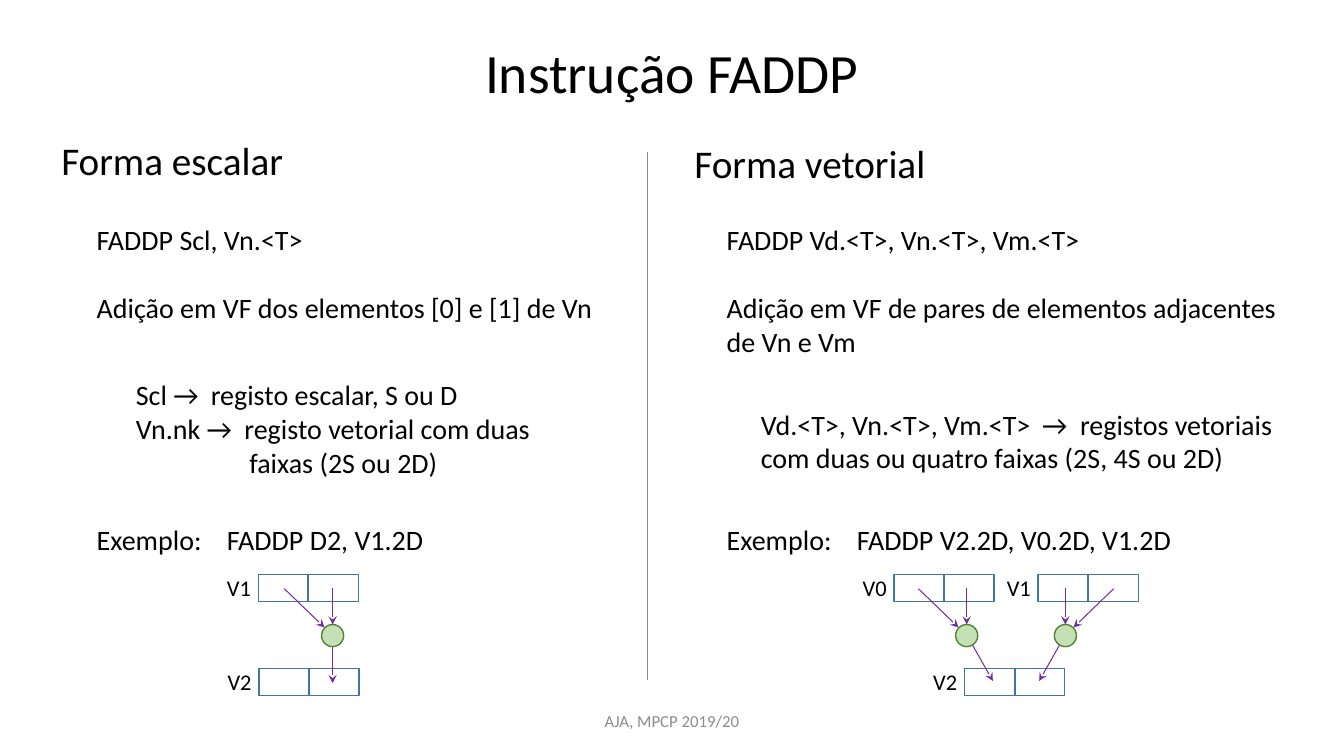
from dataclasses import dataclass

from pptx import Presentation
from pptx.dml.color import RGBColor
from pptx.enum.shapes import MSO_CONNECTOR as CONN, MSO_SHAPE as SHAPE
from pptx.enum.text import MSO_ANCHOR as ANCHOR, PP_ALIGN as ALIGN
from pptx.oxml.ns import qn
from pptx.util import Pt
from lxml.etree import SubElement

BLACK = RGBColor(0x00, 0x00, 0x00)
GRAY = RGBColor(0x8C, 0x8C, 0x8C)
BLUE = RGBColor(0x43, 0x73, 0x9E)
PURPLE = RGBColor(0x70, 0x30, 0xA0)
LIGHT_GREEN = RGBColor(0xC5, 0xE0, 0xB4)
DARK_GREEN = RGBColor(0x54, 0x82, 0x35)

ADDER_Y = 454
SOURCE_Y = 410.4
RESULT_Y = 477.4


@dataclass
class Para:
    text: str
    before: float = 0
    indent: float = 0
    tabs: tuple = ()


class Slide:
    font = "Calibri"

    def __init__(self, prs):
        self.slide = prs.slides.add_slide(prs.slide_layouts[5])
        self.shapes = self.slide.shapes

    def style(self, p, size, color, align=ALIGN.LEFT):
        p.alignment = align
        for r in p.runs:
            r.font.name = self.font
            r.font.size = Pt(size)
            r.font.color.rgb = color

    def title(self, text, x, y, w, h):
        sp = self.shapes.title
        sp.left, sp.top, sp.width, sp.height = Pt(x), Pt(y), Pt(w), Pt(h)
        tf = sp.text_frame
        tf.text = text
        tf.vertical_anchor = ANCHOR.MIDDLE
        tf.paragraphs[0].line_spacing = 0.9
        self.style(tf.paragraphs[0], 39.6, BLACK, ALIGN.CENTER)

    def text(self, x, y, w, h, paras, size=20, color=BLACK,
             align=ALIGN.LEFT, anchor=ANCHOR.TOP):
        tf = self.shapes.add_textbox(Pt(x), Pt(y), Pt(w), Pt(h)).text_frame
        tf.word_wrap = True
        tf.vertical_anchor = anchor
        for i, para in enumerate(paras):
            p = tf.add_paragraph() if i else tf.paragraphs[0]
            p.text = para.text
            self.style(p, size, color, align)
            if para.before:
                p.space_before = Pt(para.before)
            pPr = p._p.get_or_add_pPr()
            if para.indent:
                pPr.set("marL", str(Pt(para.indent)))
            if para.tabs:
                stops = SubElement(pPr, qn("a:tabLst"))
                for stop in para.tabs:
                    SubElement(stops, qn("a:tab"), pos=str(Pt(stop)), algn="l")

    def shape(self, kind, x, y, w, h, line, fill=None):
        sp = self.shapes.add_shape(kind, Pt(x), Pt(y), Pt(w), Pt(h))
        sp.shadow.inherit = False
        if fill is None:
            sp.fill.background()
        else:
            sp.fill.solid()
            sp.fill.fore_color.rgb = fill
        sp.line.color.rgb = line
        sp.line.width = Pt(1)

    def line(self, x1, y1, x2, y2, color, width, arrow=False):
        cn = self.shapes.add_connector(CONN.STRAIGHT, Pt(x1), Pt(y1), Pt(x2), Pt(y2))
        cn.line.color.rgb = color
        cn.line.width = Pt(width)
        if arrow:
            SubElement(cn.line._get_or_add_ln(), qn("a:tailEnd"), type="stealth")
        SubElement(cn._element.spPr, qn("a:effectLst"))

    def register(self, name, x, y):
        self.text(x - 29.5, y - 3.6, 36, 26.6, [Para(name)], size=16)
        for lane in range(2):
            self.shape(SHAPE.RECTANGLE, x + lane * 35.6, y, 36, 19.4, BLUE)

    def adder(self, x, side, out_start, out_end):
        radius = 7.9
        self.shape(SHAPE.OVAL, x - radius, ADDER_Y - radius, 2 * radius, 2 * radius,
                   DARK_GREEN, LIGHT_GREEN)
        arrows = [
            ((side * 34.5, -33.5), (side * 5.8, -5.8)),
            ((0, -34), (0, -radius)),
            (out_start, out_end),
        ]
        for (x1, y1), (x2, y2) in arrows:
            self.line(x + x1, ADDER_Y + y1, x + x2, ADDER_Y + y2, PURPLE, 0.75, True)


def main():
    prs = Presentation()
    prs.slide_width, prs.slide_height = Pt(960), Pt(540)
    s = Slide(prs)

    s.title("Instrução FADDP", 66, 28.8, 828, 49.7)
    s.line(462.4, 108.7, 462.4, 486, GRAY, 0.5)

    s.text(36.7, 93.6, 190, 41, [Para("Forma escalar")], size=28)
    s.text(62, 155.5, 390, 80, [
        Para("FADDP Scl, Vn.<T>"),
        Para("Adição em VF dos elementos [0] e [1] de Vn", before=24.4),
    ])
    s.text(90, 266.4, 330, 80, [
        Para("Scl →\tregisto escalar, S ou D", tabs=(53.5,)),
        Para("Vn.nk →\tregisto vetorial com duas", tabs=(77.5,)),
        Para("faixas (2S ou 2D)", indent=81),
    ])
    s.text(62, 370, 312, 32, [Para("Exemplo:\tFADDP D2, V1.2D", tabs=(93,))])

    s.text(488.9, 95.8, 190, 41, [Para("Forma vetorial")], size=28)
    s.text(512, 155.5, 425, 104, [
        Para("FADDP Vd.<T>, Vn.<T>, Vm.<T>"),
        Para("Adição em VF de pares de elementos adjacentes", before=24.4),
        Para("de Vn e Vm"),
    ])
    s.text(536.4, 287.3, 405, 55, [
        Para("Vd.<T>, Vn.<T>, Vm.<T>\t→\tregistos vetoriais", tabs=(201, 228)),
        Para("com duas ou quatro faixas (2S, 4S ou 2D)"),
    ])
    s.text(512, 370, 398, 32,
           [Para("Exemplo:\tFADDP V2.2D, V0.2D, V1.2D", tabs=(93,))])

    for name, x, y in [
        ("V1", 184.5, SOURCE_Y), ("V2", 185, RESULT_Y),
        ("V0", 638.6, SOURCE_Y), ("V1", 741.6, SOURCE_Y), ("V2", 689, RESULT_Y),
    ]:
        s.register(name, x, y)

    s.adder(237.6, -1, (0, 7.9), (0, 34))
    for x, side in [(690.5, -1), (761, 1)]:
        s.adder(x, side, (-side * 4.3, 7), (-side * 18.7, 32.4))

    s.text(318, 500.4, 324, 28.8, [Para("AJA, MPCP 2019/20")], size=12, color=GRAY,
           align=ALIGN.CENTER, anchor=ANCHOR.MIDDLE)

    prs.save("out.pptx")


if __name__ == "__main__":
    main()
